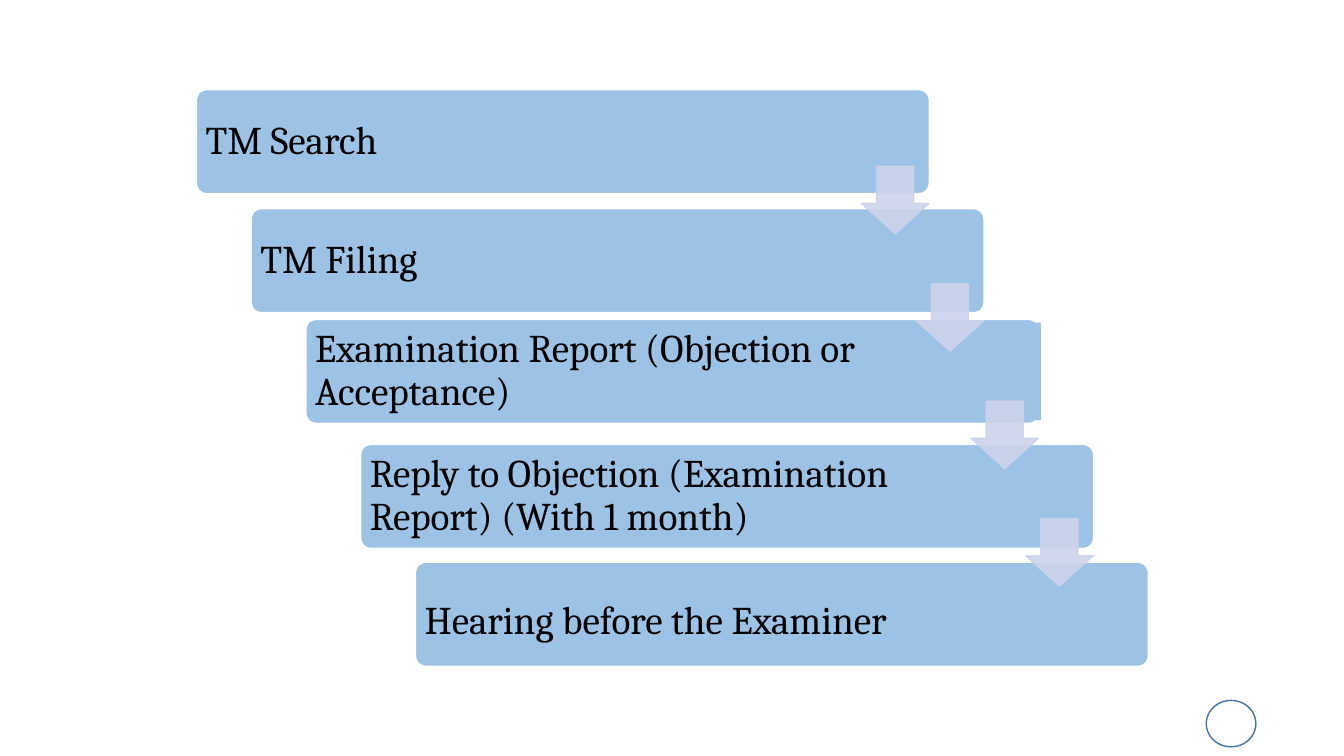
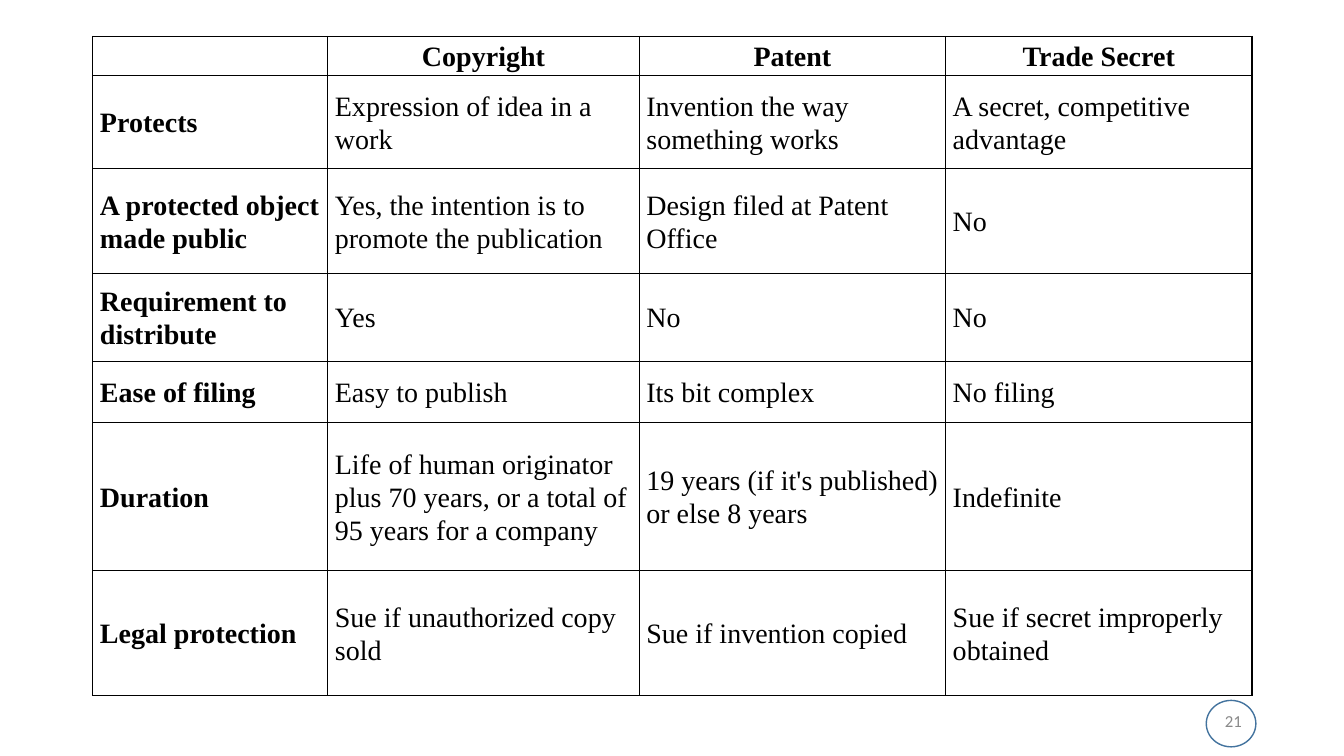
from lxml import etree
from pptx import Presentation
from pptx import util as u
from pptx.dml.color import RGBColor
from pptx.enum import shapes, text
from pptx.oxml import ns

BLACK = RGBColor(0x00, 0x00, 0x00)
WHITE = RGBColor(0xFF, 0xFF, 0xFF)
GREY = RGBColor(0x89, 0x89, 0x89)
CARD_BLUE = RGBColor(0x9C, 0xC2, 0xE5)
ARROW_BLUE = RGBColor(0xCC, 0xD3, 0xEA)
BADGE_BLUE = RGBColor(0x43, 0x73, 0x9E)


def add_box(page, kind, left, top, width, height, fill=None, line=None):
    box = page.shapes.add_shape(kind, u.Cm(left), u.Cm(top), u.Cm(width), u.Cm(height))
    box.shadow.inherit = False
    if fill is None:
        box.fill.background()
    else:
        box.fill.solid()
        box.fill.fore_color.rgb = fill
    if line is None:
        box.line.fill.background()
    else:
        box.line.color.rgb = line
        box.line.width = u.Pt(1)
    return box


def set_text(frame, words, font, size, color, align=text.PP_ALIGN.LEFT):
    para = frame.paragraphs[0]
    para.text = words
    para.alignment = align
    para.font.name = font
    para.font.size = u.Pt(size)
    para.font.color.rgb = color
    return para


deck = Presentation()
deck.slide_width, deck.slide_height = u.Cm(33.87), u.Cm(19.05)
blank = deck.slide_layouts[6]
flow_page = deck.slides.add_slide(blank)
table_page = deck.slides.add_slide(blank)

# Page number ring, moved to the layout so that both slides share it
ring = add_box(flow_page, shapes.MSO_SHAPE.OVAL, 30.4, 17.65, 1.25, 1.17, line=BADGE_BLUE)
blank.shapes.element.append(ring.element)

# Slide 1: staircase of steps (wording, top, label width, extra top inset)
STEPS = [
    ("TM Search", 2.26, 15.34, 0),
    ("TM Filing", 5.26, 15.21, 0),
    ("Examination Report (Objection or Acceptance)", 8.05, 18.44, 0),
    ("Reply to Objection (Examination Report) (With 1 month)", 11.2, 15.21, 0),
    ("Hearing before the Examiner", 14.17, 15.21, 0.38),
]
STEP_LEFT, STEP_SHIFT = 4.95, 1.38
CARD_WIDTH, CARD_HEIGHT = 18.47, 2.62
EDGE, INSET = 0.08, 0.15

for index, (words, top, label_width, extra) in enumerate(STEPS):
    left = STEP_LEFT + index * STEP_SHIFT
    card = add_box(flow_page, shapes.MSO_SHAPE.ROUNDED_RECTANGLE, left, top,
                   CARD_WIDTH, CARD_HEIGHT, CARD_BLUE, WHITE)
    card.adjustments[0] = 0.1
    label = add_box(flow_page, shapes.MSO_SHAPE.RECTANGLE, left + EDGE, top + EDGE,
                    label_width, CARD_HEIGHT - 2 * EDGE, CARD_BLUE)
    frame = label.text_frame
    frame.word_wrap = True
    frame.vertical_anchor = text.MSO_ANCHOR.MIDDLE
    frame.margin_left = frame.margin_right = frame.margin_bottom = u.Cm(INSET)
    frame.margin_top = u.Cm(INSET + extra)
    para = set_text(frame, words, "Cambria", 28, BLACK)
    para.line_spacing = 0.9

# Translucent arrows between the steps
ARROW_LEFT, ARROW_TOP, ARROW_DROP, ARROW_SIZE = 21.71, 4.19, 2.96, 1.7

for index in range(len(STEPS) - 1):
    arrow = add_box(flow_page, shapes.MSO_SHAPE.DOWN_ARROW,
                    ARROW_LEFT + index * STEP_SHIFT, ARROW_TOP + index * ARROW_DROP,
                    ARROW_SIZE, ARROW_SIZE, ARROW_BLUE, ARROW_BLUE)
    arrow.adjustments[0], arrow.adjustments[1] = 0.55, 0.45
    for color in arrow.element.spPr.iter(ns.qn("a:srgbClr")):
        etree.SubElement(color, ns.qn("a:alpha"), val="90000")

# Slide 2: comparison table
ROWS = [
    ("", "Copyright", "Patent", "Trade Secret"),
    ("Protects", "Expression of idea in a work", "Invention the way something works",
     "A secret, competitive advantage"),
    ("A protected object made public", "Yes, the intention is to promote the publication",
     "Design filed at Patent Office", "No"),
    ("Requirement to distribute", "Yes", "No", "No"),
    ("Ease of filing", "Easy to publish", "Its bit complex", "No filing"),
    ("Duration", "Life of human originator plus 70 years, or a total of 95 years for a company",
     "19 years (if it's published) or else 8 years", "Indefinite"),
    ("Legal protection", "Sue if unauthorized copy sold", "Sue if invention copied",
     "Sue if secret improperly obtained"),
]
COLUMN_WIDTHS = [5.92, 7.85, 7.72, 7.72]
ROW_HEIGHTS = [0.99, 2.34, 2.64, 2.21, 1.55, 3.73, 3.15]

table = table_page.shapes.add_table(
    len(ROWS), len(COLUMN_WIDTHS), u.Cm(2.34), u.Cm(0.92),
    u.Cm(sum(COLUMN_WIDTHS)), u.Cm(sum(ROW_HEIGHTS))).table
table.first_row = table.horz_banding = False
for column, width in zip(table.columns, COLUMN_WIDTHS):
    column.width = u.Cm(width)
for row, height in zip(table.rows, ROW_HEIGHTS):
    row.height = u.Cm(height)

for row_index, row in enumerate(ROWS):
    for column_index, words in enumerate(row):
        cell = table.cell(row_index, column_index)
        cell.vertical_anchor = text.MSO_ANCHOR.MIDDLE
        cell.margin_left = cell.margin_right = u.Cm(0.18)
        cell.margin_top = cell.margin_bottom = 0
        align = text.PP_ALIGN.LEFT if row_index else text.PP_ALIGN.CENTER
        para = set_text(cell.text_frame, words, "Times New Roman", 20, BLACK, align)
        para.font.bold = row_index == 0 or column_index == 0
        para.line_spacing = 1.07
        para.space_after = u.Pt(8)
        # Borders come before the fill in the cell properties
        properties = cell._tc.get_or_add_tcPr()
        for side in ("a:lnL", "a:lnR", "a:lnT", "a:lnB"):
            border = etree.SubElement(properties, ns.qn(side), w=str(u.Pt(1)))
            paint = etree.SubElement(border, ns.qn("a:solidFill"))
            etree.SubElement(paint, ns.qn("a:srgbClr"), val=str(BLACK))
        cell.fill.background()

# Page number
number = table_page.shapes.add_textbox(u.Cm(23.93), u.Cm(17.65), u.Cm(7.62), u.Cm(1.02))
number.text_frame.word_wrap = True
number.text_frame.vertical_anchor = text.MSO_ANCHOR.MIDDLE
set_text(number.text_frame, "21", "Calibri", 12, GREY, text.PP_ALIGN.RIGHT)

deck.save("out.pptx")
